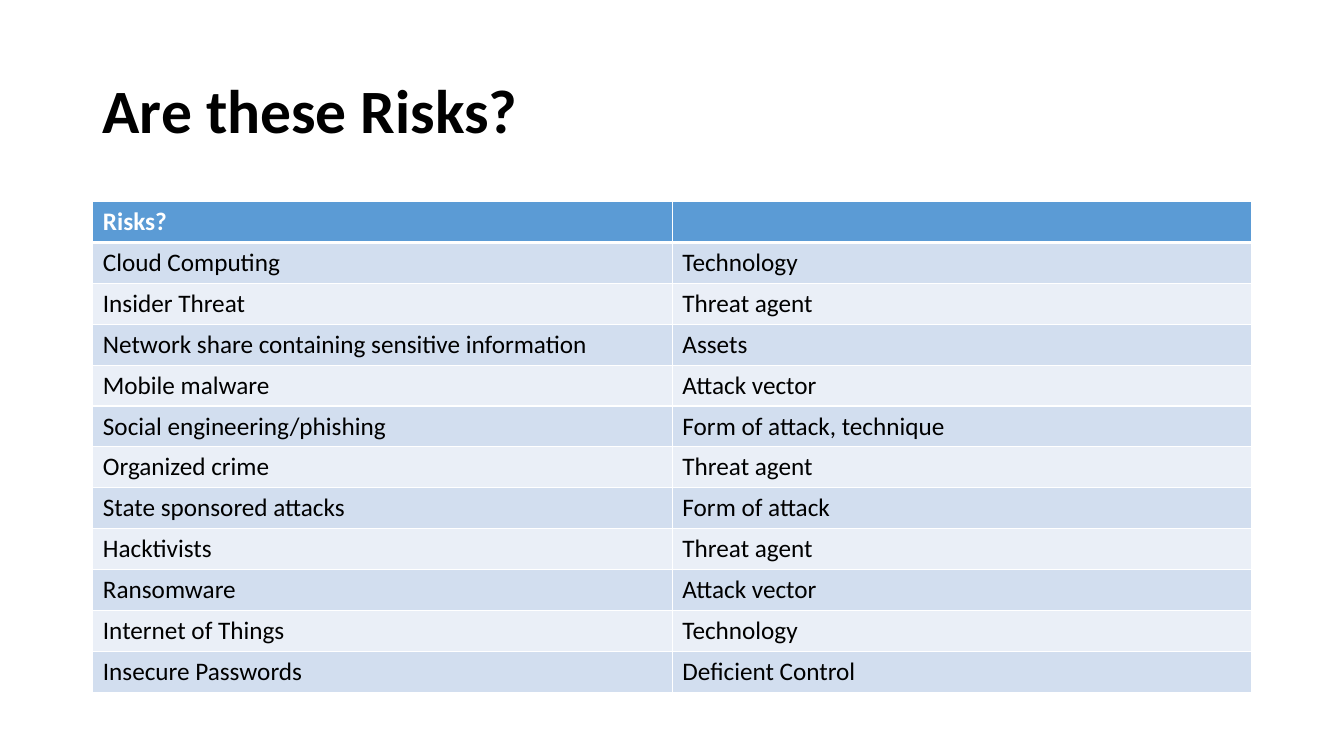
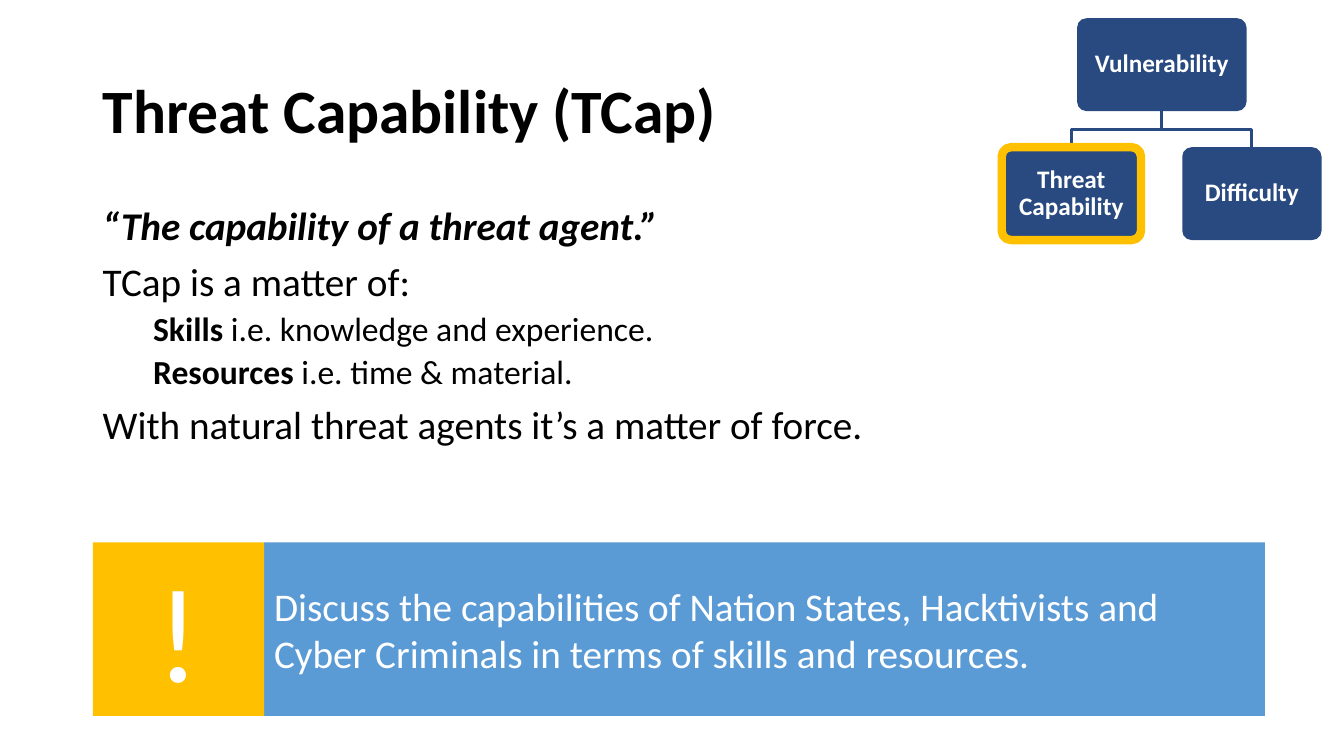
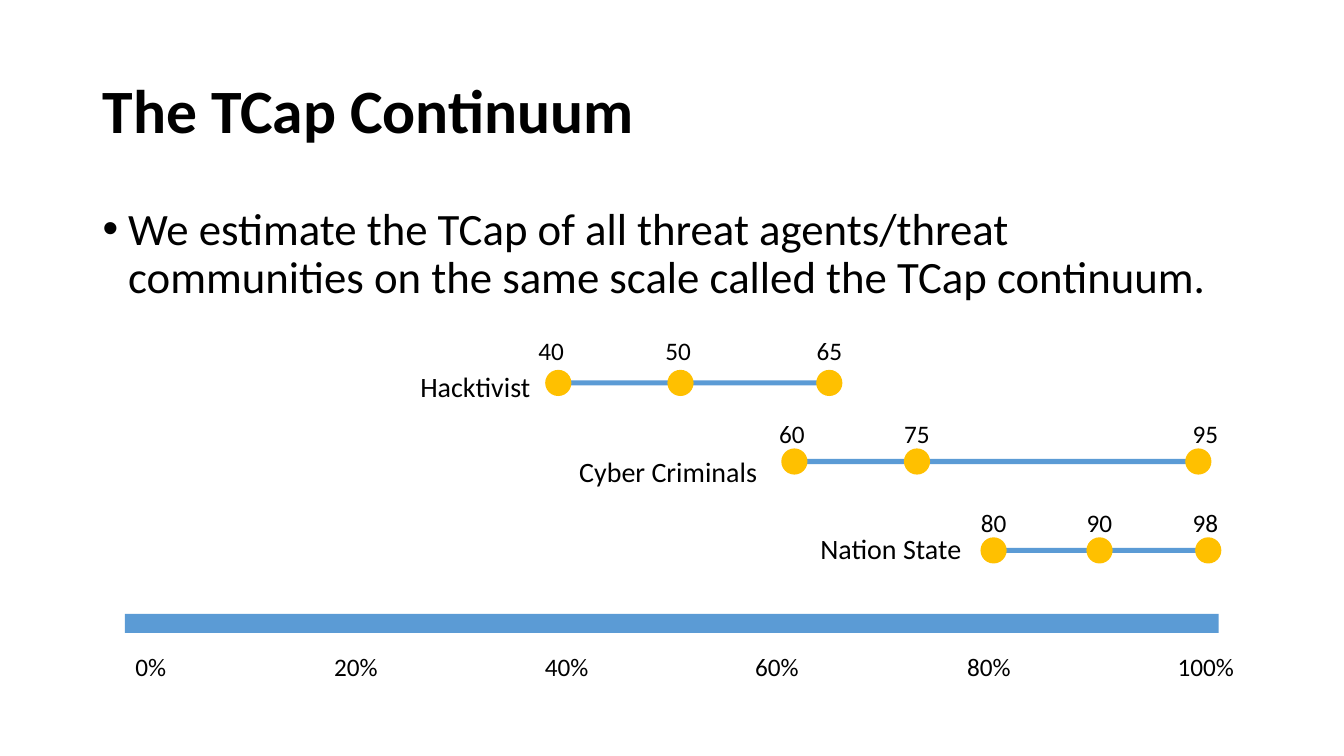
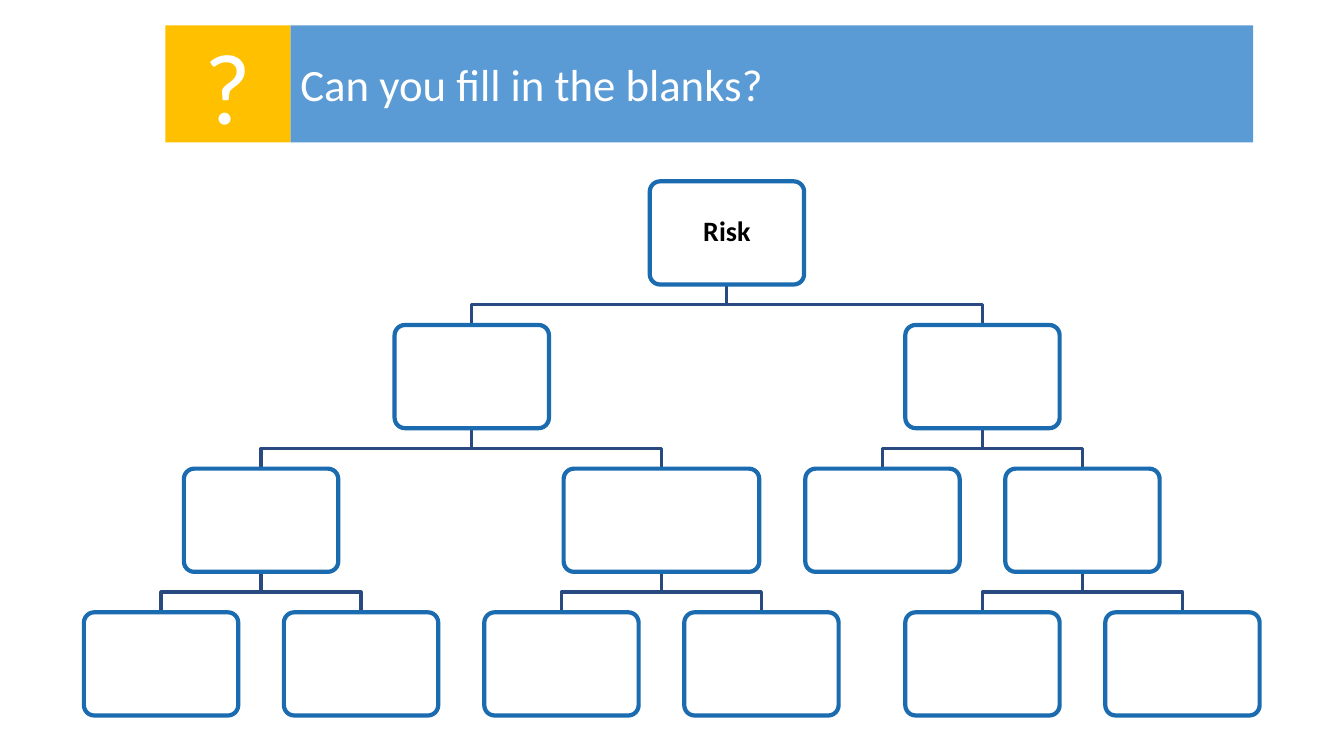
import lxml.etree
import pptx
import pptx.dml.color
import pptx.enum.shapes
import pptx.enum.text
import pptx.oxml.ns
import pptx.util

Cm = pptx.util.Cm
Pt = pptx.util.Pt
qn = pptx.oxml.ns.qn
RGB = pptx.dml.color.RGBColor.from_string
SHAPE = pptx.enum.shapes.MSO_SHAPE
ALIGN = pptx.enum.text.PP_ALIGN
ANCHOR = pptx.enum.text.MSO_ANCHOR

FONT = "Calibri"
COLORS = {
    "black": "000000",
    "white": "FFFFFF",
    "blue": "5B9BD5",
    "navy": "294A80",
    "outline": "1A6BB0",
    "amber": "FFC000",
    "band_dark": "D2DEEF",
    "band_light": "EAEFF7",
}
LEFT, CONTENT_TOP, CONTENT_WIDTH = 2.34, 5.08, 29.21


def add_box(slide, kind, left, top, width, height, fill=None, line=None, line_width=0):
    """Add a preset shape measured in centimetres; no fill or line unless named."""
    shape = slide.shapes.add_shape(kind, Cm(left), Cm(top), Cm(width), Cm(height))
    shape.shadow.inherit = False
    if fill:
        shape.fill.solid()
        shape.fill.fore_color.rgb = RGB(COLORS[fill])
    else:
        shape.fill.background()
    if line:
        shape.line.color.rgb = RGB(COLORS[line])
        shape.line.width = Pt(line_width)
    else:
        shape.line.fill.background()
    return shape


def write(holder, text, size, color="black", bold=False, align=ALIGN.LEFT,
          anchor=ANCHOR.MIDDLE, wrap=True, line_spacing=None):
    """Put one paragraph into a shape or text box."""
    frame = holder.text_frame
    frame.word_wrap = wrap
    frame.vertical_anchor = anchor
    paragraph = frame.paragraphs[0]
    paragraph.text = text
    paragraph.alignment = align
    paragraph.line_spacing = line_spacing
    paragraph.font.name = FONT
    paragraph.font.size = Pt(size)
    paragraph.font.bold = bold
    paragraph.font.color.rgb = RGB(COLORS[color])


presentation = pptx.Presentation()
presentation.slide_width = Cm(33.87)
presentation.slide_height = Cm(19.05)
blank_layout = presentation.slide_layouts[6]
slides = [presentation.slides.add_slide(blank_layout) for _ in range(4)]
risks_slide, capability_slide, continuum_slide, quiz_slide = slides

# Titles
titles = ["Are these Risks?", "Threat Capability (TCap)", "The TCap Continuum"]
for slide, title in zip(slides, titles):
    title_box = slide.shapes.add_textbox(Cm(LEFT), Cm(1.02), Cm(CONTENT_WIDTH), Cm(3.68))
    write(title_box, title, 44, bold=True, line_spacing=0.9)

# Banners: a symbol on amber, then a sentence on blue
banners = [
    (capability_slide, "!", 96, "Discuss the capabilities of Nation States, Hacktivists and "
     "Cyber Criminals in terms of skills and resources.", 28, 2.34, 13.67, 4.32, 25.22, 4.37),
    (quiz_slide, "?", 72, "Can you fill in the blanks?", 32, 4.17, 0.64, 3.15, 24.26, 2.95),
]
for (slide, symbol, symbol_size, sentence, sentence_size,
     left, top, symbol_width, sentence_width, height) in banners:
    sentence_box = add_box(slide, SHAPE.RECTANGLE, left + symbol_width, top,
                           sentence_width, height, "blue")
    write(sentence_box, sentence, sentence_size, "white")
    symbol_box = add_box(slide, SHAPE.RECTANGLE, left, top, symbol_width, height, "amber")
    write(symbol_box, symbol, symbol_size, "white", align=ALIGN.CENTER)

# Trees: each node is (level, centre, width, parent index, text, outline, outline width)
def_width = 3.89
blank_nodes = [
    (1, 11.89, def_width, 0), (1, 24.76, def_width, 0),
    (2, 6.58, def_width, 1), (2, 16.67, 4.93, 1),
    (2, 22.24, def_width, 2), (2, 27.28, def_width, 2),
]
for parent in (3, 4, 6):
    parent_centre = blank_nodes[parent - 1][1]
    for offset in (-2.52, 2.52):
        blank_nodes.append((3, parent_centre + offset, def_width, parent))

trees = [
    (capability_slide, 0.46, 3.25, 2.34, "navy", "white", 18, [
        (0, 29.28, 4.27, None, "Vulnerability", None, 0),
        (1, 27.0, 3.51, 0, "Threat Capability", "amber", 6),
        (1, 31.55, 3.51, 0, "Difficulty", None, 0),
    ]),
    (quiz_slide, 4.57, 3.62, 2.6, None, "black", 20,
     [(0, 18.32, def_width, None, "Risk", "outline", 3)]
     + [node + ("", "outline", 3) for node in blank_nodes]),
]
for slide, tree_top, step, height, fill, text_color, size, nodes in trees:
    for level, centre, width, parent, text, outline, outline_width in nodes:
        if parent is None:
            continue
        parent_centre = nodes[parent][1]
        node_top = tree_top + level * step
        parent_bottom = node_top - step + height
        middle = (parent_bottom + node_top) / 2
        builder = slide.shapes.build_freeform(Cm(parent_centre), Cm(parent_bottom))
        builder.add_line_segments(
            [(Cm(parent_centre), Cm(middle)), (Cm(centre), Cm(middle)),
             (Cm(centre), Cm(node_top))], close=False)
        link = builder.convert_to_shape()
        link.shadow.inherit = False
        link.fill.background()
        link.line.color.rgb = RGB(COLORS["navy"])
        link.line.width = Pt(2.25)
    for level, centre, width, parent, text, outline, outline_width in nodes:
        node_box = add_box(slide, SHAPE.ROUNDED_RECTANGLE, centre - width / 2,
                           tree_top + level * step, width, height,
                           fill, outline, outline_width)
        node_box.adjustments[0] = 0.1
        if text:
            write(node_box, text, size, text_color, True, ALIGN.CENTER, line_spacing=0.9)
            frame = node_box.text_frame
            frame.margin_left = frame.margin_right = Cm(0.18)
            frame.margin_top = frame.margin_bottom = Cm(0.18)

# Slide 1: table
risk_rows = [
    ("Risks?", ""),
    ("Cloud Computing", "Technology"),
    ("Insider Threat", "Threat agent"),
    ("Network share containing sensitive information", "Assets"),
    ("Mobile malware", "Attack vector"),
    ("Social engineering/phishing", "Form of attack, technique"),
    ("Organized crime", "Threat agent"),
    ("State sponsored attacks", "Form of attack"),
    ("Hacktivists", "Threat agent"),
    ("Ransomware", "Attack vector"),
    ("Internet of Things", "Technology"),
    ("Insecure Passwords", "Deficient Control"),
]
row_height = 1.03
table = risks_slide.shapes.add_table(
    len(risk_rows), 2, Cm(LEFT), Cm(CONTENT_TOP), Cm(CONTENT_WIDTH),
    Cm(row_height * len(risk_rows))).table
table.horz_banding = False
for row_index, row in enumerate(risk_rows):
    table.rows[row_index].height = Cm(row_height)
    is_header = row_index == 0
    band = "blue" if is_header else ("band_light", "band_dark")[row_index % 2]
    for column_index, text in enumerate(row):
        cell = table.cell(row_index, column_index)
        cell.fill.solid()
        cell.fill.fore_color.rgb = RGB(COLORS[band])
        paragraph = cell.text_frame.paragraphs[0]
        paragraph.text = text
        paragraph.font.name = FONT
        paragraph.font.size = Pt(18)
        paragraph.font.bold = is_header
        paragraph.font.color.rgb = RGB(COLORS["white" if is_header else "black"])
        properties = cell._tc.get_or_add_tcPr()
        for position, side in enumerate(("lnL", "lnR", "lnT", "lnB")):
            under_header = (row_index, side) in ((0, "lnB"), (1, "lnT"))
            border = lxml.etree.Element(qn("a:" + side), w=str(Pt(3 if under_header else 1)))
            border_fill = lxml.etree.SubElement(border, qn("a:solidFill"))
            lxml.etree.SubElement(border_fill, qn("a:srgbClr"), val=COLORS["white"])
            properties.insert(position, border)

# Slide 2: body, each run is (text, bold, italic)
body_paragraphs = [
    (0, [("“The capability of a threat agent.”", True, True)]),
    (0, [("TCap is a matter of:", False, False)]),
    (1, [("Skills", True, False), (" i.e. knowledge and experience.", False, False)]),
    (1, [("Resources ", True, False), ("i.e. time & material.", False, False)]),
    (0, [("With natural threat agents it’s a matter of force.", False, False)]),
]
body = capability_slide.shapes.add_textbox(
    Cm(LEFT), Cm(CONTENT_TOP), Cm(CONTENT_WIDTH), Cm(8.3)).text_frame
body.word_wrap = True
for index, (level, runs) in enumerate(body_paragraphs):
    paragraph = body.add_paragraph() if index else body.paragraphs[0]
    paragraph.line_spacing = 0.9
    paragraph.space_before = Pt(5 if level else 10)
    paragraph.font.name = FONT
    paragraph.font.size = Pt(24 if level else 28)
    paragraph.font.color.rgb = RGB(COLORS["black"])
    if level:
        paragraph.level = level
        paragraph._p.get_or_add_pPr().set("marL", str(Cm(1.27)))
    for text, bold, italic in runs:
        run = paragraph.add_run()
        run.text = text
        run.font.bold = bold
        run.font.italic = italic

# Slide 3: bullet
bullet_box = continuum_slide.shapes.add_textbox(
    Cm(LEFT), Cm(CONTENT_TOP), Cm(CONTENT_WIDTH), Cm(3))
write(bullet_box, "We estimate the TCap of all threat agents/threat communities on the same "
      "scale called the TCap continuum.", 32, anchor=ANCHOR.TOP, line_spacing=0.9)
paragraph = bullet_box.text_frame.paragraphs[0]
paragraph.space_before = Pt(10)
properties = paragraph._p.get_or_add_pPr()
properties.set("marL", str(Cm(0.64)))
properties.set("indent", str(Cm(-0.64)))
bullet_font = lxml.etree.Element(qn("a:buFont"), typeface="Arial")
bullet_character = lxml.etree.Element(qn("a:buChar"), char="•")
spacing_end = properties.index(properties.find(qn("a:spcBef"))) + 1
properties.insert(spacing_end, bullet_font)
properties.insert(spacing_end + 1, bullet_character)

# Slide 3: scale and ranges; labels are (text, centre, top, size)
add_box(continuum_slide, SHAPE.RECTANGLE, 3.15, 15.47, 27.56, 0.48, "blue")
labels = [
    (f"{20 * index}%", centre, 16.28, 18)
    for index, centre in enumerate((3.8, 8.97, 14.28, 19.58, 24.92, 30.39))
]
dot_size, bar_height = 0.66, 0.13
# Each range: name, its centre and top, dot height, value top, (value, dot centre, value centre)
ranges = [
    ("Hacktivist", 11.98, 9.19, 9.65, 8.33,
     [(40, 14.07, 13.89), (50, 17.15, 17.09), (65, 20.9, 20.9)]),
    ("Cyber Criminals", 16.84, 11.33, 11.63, 10.41,
     [(60, 20.02, 19.96), (75, 23.11, 23.11), (95, 30.2, 30.38)]),
    ("Nation State", 22.45, 13.28, 13.87, 12.65,
     [(80, 25.04, 25.04), (90, 27.71, 27.71), (98, 30.45, 30.38)]),
]
for name, name_centre, name_top, dot_y, value_top, points in ranges:
    first, last = points[0][1], points[-1][1]
    add_box(continuum_slide, SHAPE.RECTANGLE, first, dot_y - bar_height / 2,
            last - first, bar_height, "blue")
    labels.append((name, name_centre, name_top, 20))
    for value, dot_centre, value_centre in points:
        add_box(continuum_slide, SHAPE.OVAL, dot_centre - dot_size / 2,
                dot_y - dot_size / 2, dot_size, dot_size, "amber")
        labels.append((str(value), value_centre, value_top, 18))
label_width = 5.2
for text, centre, top, size in labels:
    label = continuum_slide.shapes.add_textbox(
        Cm(centre - label_width / 2), Cm(top), Cm(label_width), Cm(1.02 if size == 18 else 1.12))
    write(label, text, size, align=ALIGN.CENTER, anchor=ANCHOR.TOP, wrap=False)

presentation.save("out.pptx")
